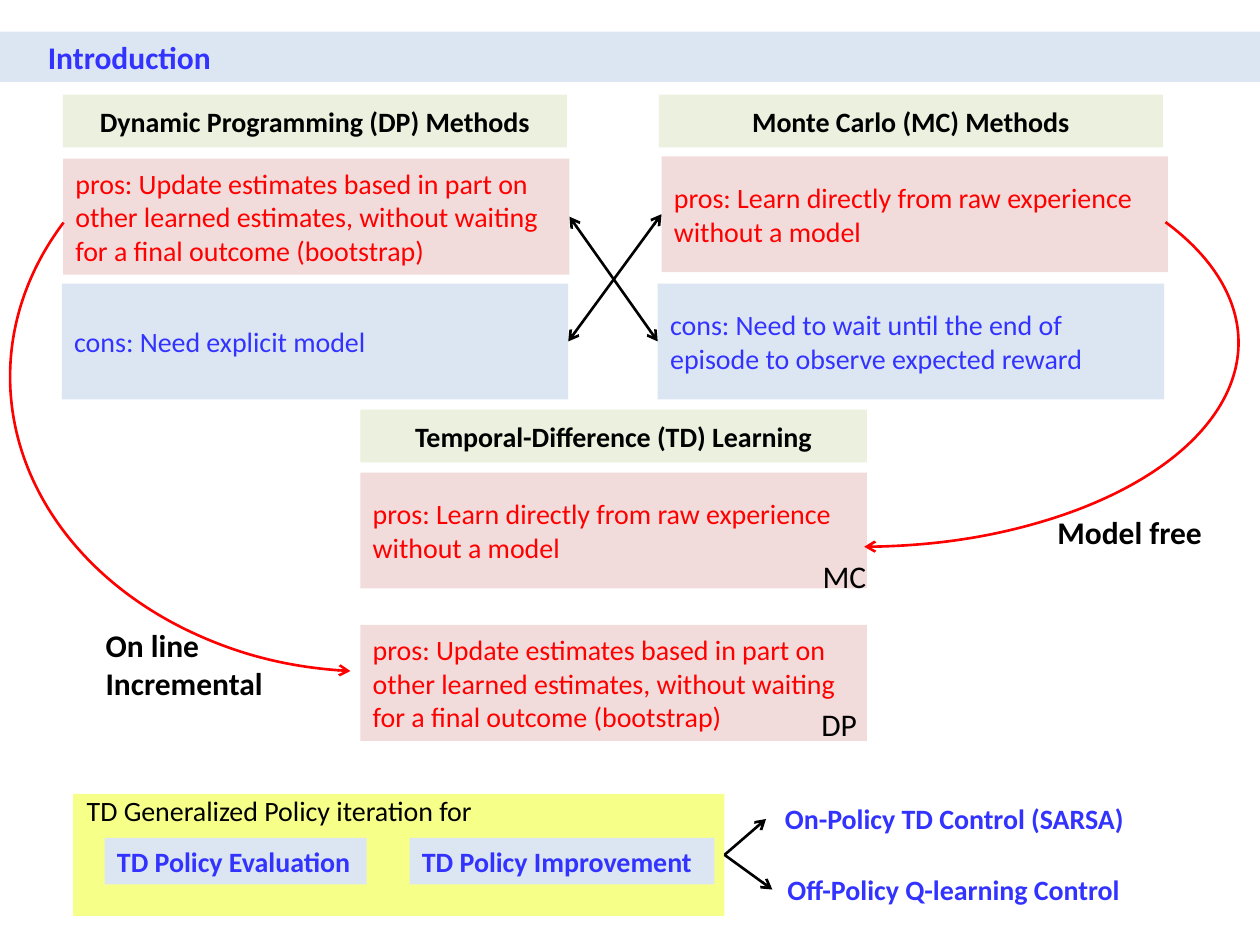
from dataclasses import dataclass

from lxml.etree import SubElement
from pptx import Presentation
from pptx.dml.color import RGBColor
from pptx.enum.shapes import MSO_CONNECTOR as Connector, MSO_SHAPE as Shape
from pptx.enum.text import MSO_ANCHOR as Anchor, MSO_AUTO_SIZE as AutoSize, PP_ALIGN as Align
from pptx.oxml.ns import qn
from pptx.util import Inches, Pt

COLORS = {
    "black": "000000",
    "blue": "3333FF",
    "red": "FF0000",
    "yellow": "EEFF0D",
    "pale_blue": "DCE6F2",
    "pale_red": "F2DCDB",
    "pale_green": "EBF1DE",
}
FONT = "Calibri"
CARD_WIDTH, CARD_HEIGHT, HEADING_HEIGHT = 4.02, 0.92, 0.42
TOP, LEFT, BOTTOM, RIGHT = range(4)

BOOTSTRAP = ("pros: Update estimates based in part on other learned estimates, "
             "without waiting for a final outcome (bootstrap)")
RAW_EXPERIENCE = "pros: Learn directly from raw experience without a model"


@dataclass
class Style:
    fill: str
    color: str
    height: float
    bold: bool = False
    align: Align = Align.LEFT


@dataclass
class Card:
    name: str
    style: Style
    left: float
    top: float
    text: str
    width: float = CARD_WIDTH


@dataclass
class Label:
    left: float
    top: float
    width: float
    height: float
    text: str
    size: int = 16
    color: str = "black"
    bold: bool = False
    fill: str | None = None
    align: Align = Align.LEFT
    inset: float = 0.1


@dataclass
class Arc:
    left: float
    top: float
    width: float
    height: float
    start: float
    end: float
    arrow_end: str


HEADING = Style("pale_green", "black", HEADING_HEIGHT, True, Align.CENTER)
PROS = Style("pale_red", "red", CARD_HEIGHT)
CONS = Style("pale_blue", "blue", CARD_HEIGHT)

CARDS = [
    Card("dp_heading", HEADING, 0.5, 0.75, "Dynamic Programming (DP) Methods", 4),
    Card("dp_pros", PROS, 0.5, 1.26, BOOTSTRAP),
    Card("dp_cons", CONS, 0.49, 2.25, "cons: Need explicit model"),
    Card("mc_heading", HEADING, 5.23, 0.75, "Monte Carlo (MC) Methods", 4),
    Card("mc_pros", PROS, 5.25, 1.24, RAW_EXPERIENCE),
    Card("mc_cons", CONS, 5.22, 2.25,
         "cons: Need to wait until the end of episode to observe expected reward"),
    Card("td_heading", HEADING, 2.86, 3.25, "Temporal-Difference (TD) Learning"),
    Card("td_mc_pros", PROS, 2.86, 3.75, RAW_EXPERIENCE),
    Card("td_dp_pros", PROS, 2.86, 4.96, BOOTSTRAP),
]

LABELS = [
    Label(6.43, 4.37, 0.55, 0.4, "MC", 18),
    Label(6.42, 5.55, 0.49, 0.4, "DP", 18),
    Label(0.59, 6.25, 4.47, 0.37, "TD Generalized Policy iteration for"),
    Label(0.83, 6.65, 2.08, 0.37, "TD Policy Evaluation", 16, "blue", True, "pale_blue"),
    Label(3.25, 6.65, 2.42, 0.37, "TD Policy Improvement", 16, "blue", True, "pale_blue"),
    Label(6.08, 6.31, 2.98, 0.37, "On-Policy TD Control (SARSA)", 16, "blue", True, inset=0.15),
    Label(6.1, 6.88, 2.94, 0.37, "Off-Policy Q-learning Control", 16, "blue", True, inset=0.15),
    Label(0.74, 4.92, 1.5, 0.71, "On line\nIncremental", 18, bold=True),
    Label(8.14, 4.02, 1.4, 0.4, "Model free", 18, bold=True, align=Align.RIGHT),
]

ARCS = [
    Arc(0.08, 0.65, 5.75, 4.68, 56.551, 123.925, "headEnd"),
    Arc(3.82, 1.1, 6.01, 3.24, 203.081, 53.277, "tailEnd"),
]


def rgb(name: str) -> RGBColor:
    return RGBColor.from_string(COLORS[name])


def paint(shape, color: str) -> None:
    shape.fill.solid()
    shape.fill.fore_color.rgb = rgb(color)


def write(shape, text: str, size: int, color: str, bold: bool, align: Align,
          anchor: Anchor) -> None:
    frame = shape.text_frame
    frame.text = text
    frame.word_wrap = True
    frame.auto_size = AutoSize.NONE
    frame.vertical_anchor = anchor
    for paragraph in frame.paragraphs:
        paragraph.alignment = align
        for run in paragraph.runs:
            run.font.name = FONT
            run.font.size = Pt(size)
            run.font.bold = bold
            run.font.color.rgb = rgb(color)


def add_rectangle(slide, left: float, top: float, width: float, height: float, color: str):
    shape = slide.shapes.add_shape(
        Shape.RECTANGLE, Inches(left), Inches(top), Inches(width), Inches(height))
    shape.shadow.inherit = False
    shape.line.fill.background()
    paint(shape, color)
    return shape


def add_card(slide, card: Card):
    style = card.style
    shape = add_rectangle(slide, card.left, card.top, card.width, style.height, style.fill)
    write(shape, card.text, 16, style.color, style.bold, style.align, Anchor.MIDDLE)
    return shape


def add_label(slide, label: Label) -> None:
    box = slide.shapes.add_textbox(
        Inches(label.left), Inches(label.top), Inches(label.width), Inches(label.height))
    if label.fill:
        paint(box, label.fill)
    write(box, label.text, label.size, label.color, label.bold, label.align, Anchor.TOP)
    box.text_frame.margin_left = Inches(label.inset)
    box.text_frame.margin_right = 0


def style_line(shape, color: str, *arrow_ends: str) -> None:
    shape.line.color.rgb = rgb(color)
    shape.line.width = Pt(1.5)
    for end in arrow_ends:
        SubElement(shape.line._get_or_add_ln(), qn(f"a:{end}"), type="arrow")


def add_arrow(slide, source, target, *arrow_ends: str) -> None:
    start = (source.left + source.width, source.top + source.height // 2)
    joined = not isinstance(target, tuple)
    end = (target.left, target.top + target.height // 2) if joined else map(Inches, target)
    connector = slide.shapes.add_connector(Connector.STRAIGHT, *start, *end)
    connector.begin_connect(source, RIGHT)
    if joined:
        connector.end_connect(target, LEFT)
    style_line(connector, "black", *arrow_ends)
    SubElement(connector._element.spPr, qn("a:effectLst"))


def add_arc(slide, arc: Arc) -> None:
    shape = slide.shapes.add_shape(
        Shape.ARC, Inches(arc.left), Inches(arc.top), Inches(arc.width), Inches(arc.height))
    shape.adjustments[0] = arc.start
    shape.adjustments[1] = arc.end
    shape.fill.background()
    style_line(shape, "red", arc.arrow_end)
    shape.shadow.inherit = False


def add_title(slide) -> None:
    title = slide.shapes.title
    title.left, title.top, title.width, title.height = map(Inches, (0, 0.25, 10, 0.4))
    paint(title, "pale_blue")
    write(title, "Introduction", 18, "blue", True, Align.LEFT, Anchor.TOP)
    title.text_frame.margin_left = Inches(0.38)


def main() -> None:
    presentation = Presentation()
    presentation.slide_width, presentation.slide_height = Inches(10), Inches(7.5)
    slide = presentation.slides.add_slide(presentation.slide_layouts[5])
    add_title(slide)
    policy = add_rectangle(slide, 0.58, 6.3, 5.17, 0.97, "yellow")
    SubElement(policy._element.spPr.find(f".//{qn('a:srgbClr')}"), qn("a:alpha"), val="49000")
    cards = {card.name: add_card(slide, card) for card in CARDS}
    for source, target in (("dp_pros", "mc_cons"), ("dp_cons", "mc_pros")):
        add_arrow(slide, cards[source], cards[target], "headEnd", "tailEnd")
    for tip in ((6.08, 6.5), (6.13, 7.06)):
        add_arrow(slide, policy, tip, "tailEnd")
    for arc in ARCS:
        add_arc(slide, arc)
    for label in LABELS:
        add_label(slide, label)
    presentation.save("out.pptx")


if __name__ == "__main__":
    main()
